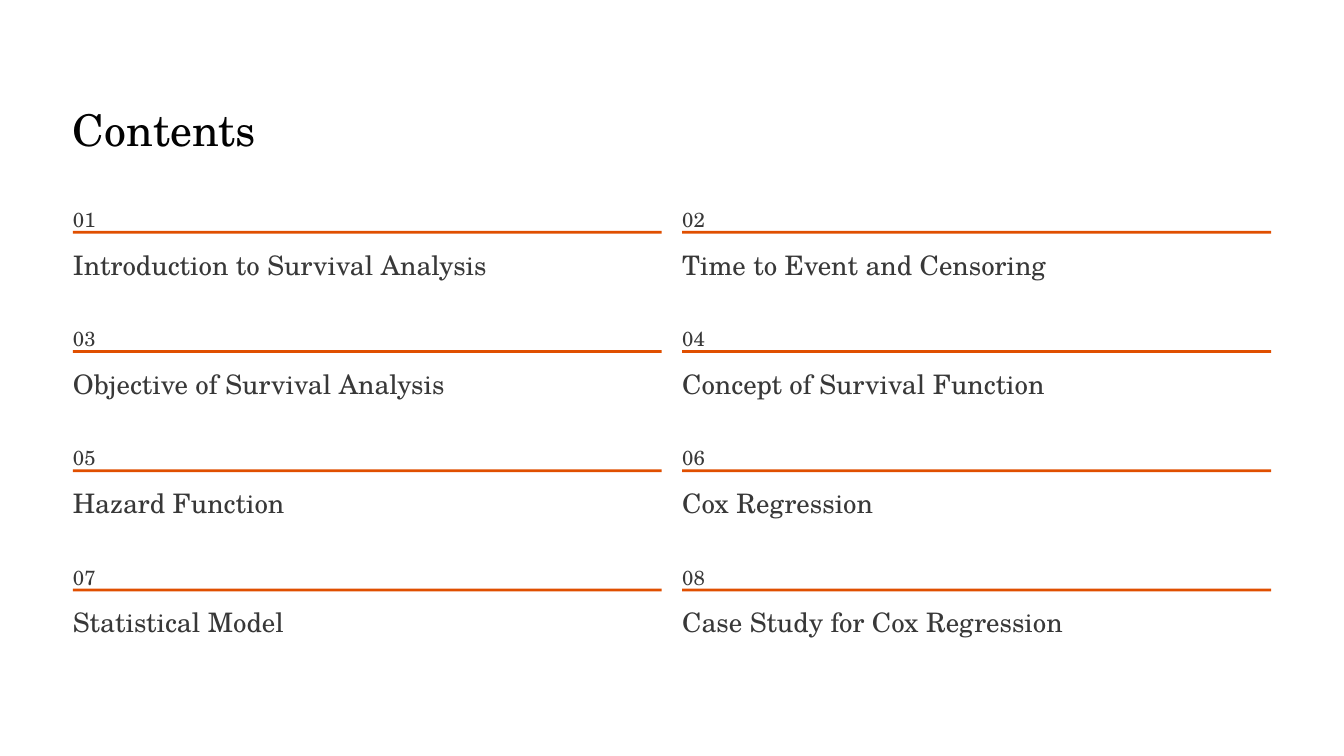
from pptx import Presentation
from pptx.dml.color import RGBColor
from pptx.enum import shapes
from pptx.util import Pt

WHITE = RGBColor(0xFF, 0xFF, 0xFF)
BLACK = RGBColor(0x02, 0x02, 0x02)
GREY = RGBColor(0x38, 0x38, 0x38)
ORANGE = RGBColor(0xE0, 0x4F, 0x00)
FONT = "TeX Gyre Schola"

# Page and grid, in points
PAGE_WIDTH, PAGE_HEIGHT = 1152, 648
LEFT, TOP = 62.5, 169.9
COL_STEP, ROW_STEP = 522.25, 102.2
RULE_WIDTH, TOPIC_WIDTH = 504.7, 360

TOPICS = [
    "Introduction to Survival Analysis",
    "Time to Event and Censoring",
    "Objective of Survival Analysis",
    "Concept of Survival Function",
    "Hazard Function",
    "Cox Regression",
    "Statistical Model",
    "Case Study for Cox Regression",
]


def add_text(s, x, y, w, h, words, size, spacing, color):
    tf = s.shapes.add_textbox(Pt(x), Pt(y), Pt(w), Pt(h)).text_frame
    tf.margin_left = tf.margin_right = tf.margin_top = tf.margin_bottom = 0
    tf.word_wrap = False
    p = tf.paragraphs[0]
    p.text = words
    p.line_spacing = Pt(spacing)
    p.font.name = FONT
    p.font.size = Pt(size)
    p.font.color.rgb = color


def add_bar(s, x, y, w, h, color):
    sp = s.shapes.add_shape(shapes.MSO_SHAPE.RECTANGLE, Pt(x), Pt(y), Pt(w), Pt(h))
    sp.shadow.inherit = False
    sp.fill.solid()
    sp.fill.fore_color.rgb = color
    sp.line.fill.background()


def add_entry(s, index, topic):
    row, col = divmod(index, 2)
    x, y = LEFT + col * COL_STEP, TOP + row * ROW_STEP
    add_text(s, x, y, 24, 22.3, f"{index + 1:02}", 17.5, 28.5, GREY)
    add_bar(s, x, y + 28, RULE_WIDTH, 2.4, ORANGE)
    add_text(s, x, y + 41.5, TOPIC_WIDTH, 29.5, topic, 23, 29, GREY)


def main():
    prs = Presentation()
    prs.slide_width, prs.slide_height = Pt(PAGE_WIDTH), Pt(PAGE_HEIGHT)
    s = prs.slides.add_slide(prs.slide_layouts[6])

    # White page
    add_bar(s, 0, 0, PAGE_WIDTH, PAGE_HEIGHT, WHITE)

    # Title
    add_text(s, LEFT, 87, 375, 46.8, "Contents", 37.5, 46.5, BLACK)

    # Numbered topics in two columns
    for index, topic in enumerate(TOPICS):
        add_entry(s, index, topic)

    prs.save("out.pptx")


if __name__ == "__main__":
    main()
